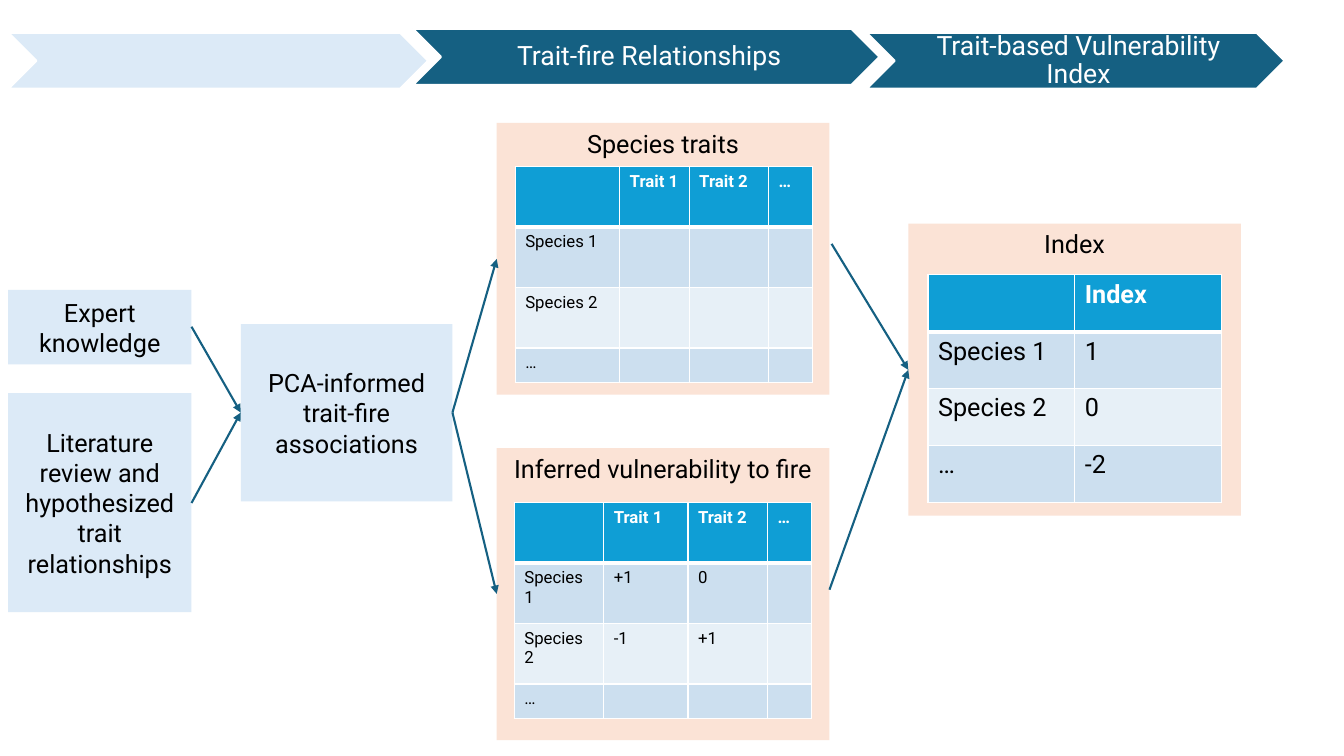
from lxml import etree
from pptx import Presentation
from pptx import util as u
from pptx.dml.color import RGBColor
from pptx.enum import shapes, text
from pptx.oxml import ns

Pt = u.Pt

COLORS = {
    "white": "FFFFFF", "black": "000000", "teal": "156082", "pale": "DCEAF7",
    "peach": "FBE3D6", "header": "0F9ED5", "odd": "CCDFEF", "even": "E7F0F7",
}


def rgb(name):
    """Return the colour with the given name."""
    return RGBColor.from_string(COLORS[name])


def set_format(target, formats):
    """Set each attribute of target from a dict of values."""
    for attribute, value in formats.items():
        setattr(target, attribute, value)


def write(frame, wording, size, color="black", bold=False, align="CENTER", anchor="MIDDLE"):
    """Write one formatted paragraph into a text frame and return it."""
    set_format(frame, {"word_wrap": True, "vertical_anchor": getattr(text.MSO_ANCHOR, anchor)})
    paragraph = frame.paragraphs[0]
    paragraph.alignment = getattr(text.PP_ALIGN, align)
    run = paragraph.add_run()
    run.text = wording
    set_format(run.font, {"size": Pt(size), "name": "Roboto", "bold": bold})
    run.font.color.rgb = rgb(color)
    return paragraph


def add_filled(slide, preset, place, fill):
    """Add a flat preset shape without outline."""
    outline = slide.shapes.add_shape(preset, *map(Pt, place))
    outline.shadow.inherit = False
    outline.fill.solid()
    outline.fill.fore_color.rgb = rgb(fill)
    outline.line.fill.background()
    return outline


def add_stage(slide, wording, left, top, width, fill):
    """Add a chevron, with any heading inset between the points."""
    height, inset = 40, 20
    chevron = add_filled(slide, shapes.MSO_SHAPE.CHEVRON, (left, top, width, height), fill)
    chevron.line.color.rgb = rgb("white")
    chevron.line.width = Pt(1.5)
    if not wording:
        return
    heading = slide.shapes.add_textbox(
        Pt(left + inset), Pt(top), Pt(width - 2 * inset), Pt(height)).text_frame
    set_format(heading, {"margin_left": Pt(6), "margin_right": Pt(2),
                         "margin_top": Pt(2), "margin_bottom": Pt(2)})
    write(heading, wording, 19, "white").line_spacing = 0.9


def add_box(slide, wording, place, fill="pale", anchor="MIDDLE"):
    """Add a labelled rectangle."""
    box = add_filled(slide, shapes.MSO_SHAPE.RECTANGLE, place, fill)
    write(box.text_frame, wording, 18, anchor=anchor)


def add_arrow(slide, start, end):
    """Add a straight arrow between two points."""
    arrow = slide.shapes.add_connector(
        shapes.MSO_CONNECTOR.STRAIGHT, *map(Pt, start + end))
    arrow.line.color.rgb = rgb("teal")
    arrow.line.width = Pt(1.5)
    properties = arrow._element.spPr
    etree.SubElement(properties.find(ns.qn("a:ln")), ns.qn("a:tailEnd"), type="triangle")
    etree.SubElement(properties, ns.qn("a:effectLst"))


def add_borders(cell, row):
    """Give a cell white borders, thicker below the header row."""
    widths = {"L": 1, "R": 1, "T": 3 if row == 1 else 1, "B": 3 if row == 0 else 1}
    properties = cell._tc.get_or_add_tcPr()
    for side, width in widths.items():
        border = etree.SubElement(properties, ns.qn("a:ln" + side), w=str(Pt(width)))
        fill = etree.SubElement(border, ns.qn("a:solidFill"))
        etree.SubElement(fill, ns.qn("a:srgbClr"), val=COLORS["white"])


def add_grid(slide, left, top, columns, heights, rows, size):
    """Add a banded table with a header row."""
    grid = slide.shapes.add_table(
        len(rows), len(columns), Pt(left), Pt(top), Pt(sum(columns)), Pt(sum(heights))).table
    for column, width in zip(grid.columns, columns):
        column.width = Pt(width)
    for r, (entries, height) in enumerate(zip(rows, heights)):
        grid.rows[r].height = Pt(height)
        band = "header" if r == 0 else "odd" if r % 2 else "even"
        for c, entry in enumerate(entries):
            cell = grid.cell(r, c)
            add_borders(cell, r)
            cell.fill.solid()
            cell.fill.fore_color.rgb = rgb(band)
            if entry:
                write(cell.text_frame, entry, size, "black" if r else "white", r == 0, "LEFT", "TOP")
            else:
                ending = cell.text_frame.paragraphs[0]._p.get_or_add_endParaRPr()
                ending.set("sz", str(size * 100))


def main():
    """Build the slide and save it."""
    deck = Presentation()
    set_format(deck, {"slide_width": Pt(960), "slide_height": Pt(540)})
    slide = deck.slides.add_slide(deck.slide_layouts[6])

    add_stage(slide, "", 6, 23.4, 299.8, "pale")
    add_stage(slide, "Trait-fire Relationships", 295, 20.6, 333.2, "teal")
    add_stage(slide, "Trait-based Vulnerability Index", 619, 23.4, 298.6, "teal")

    add_box(slide, "Expert knowledge", (5.8, 207.1, 131, 53.3))
    add_box(slide, "PCA-informed trait-fire associations", (172, 231.6, 151.2, 126.5))
    add_box(slide, "Literature review and hypothesized trait relationships",
            (5.8, 280.8, 131, 156.4))
    for title, left, top, height in (
            ("Species traits", 354.8, 87.8, 194.2),
            ("Inferred vulnerability to fire", 354.8, 320, 208.6),
            ("Index", 648.8, 159.8, 208.6)):
        add_box(slide, title, (left, top, 237.6, height), "peach", "TOP")

    header = ["", "Trait 1", "Trait 2", "…"]
    trait_heights = [43.2, 43.2, 43.2, 24.5]
    add_grid(slide, 662.9, 196.2, [104.8] * 2, [40.7] * 4,
             [["", "Index"], ["Species 1", "1"], ["Species 2", "0"], ["…", "-2"]], 18)
    add_grid(slide, 368, 119, [74.6, 49.7, 56.7, 31.5], trait_heights,
             [header, ["Species 1", "", "", ""], ["Species 2", "", "", ""], ["…", "", "", ""]], 12)
    add_grid(slide, 367.3, 359, [63.9, 60.2, 56.9, 31.5], trait_heights,
             [header, ["Species 1", "+1", "0", ""], ["Species 2", "-1", "+1", ""],
              ["…", "", "", ""]], 12)

    associations_in, associations_out, index_in = (172, 294.7), (323.2, 294.7), (648.8, 264.2)
    for start, end in (
            ((136.8, 233.4), associations_in), ((136.8, 359.3), associations_in),
            (associations_out, (354.8, 185)), (associations_out, (354.8, 424.2)),
            ((594, 174.2), index_in), ((592.5, 421.2), index_in)):
        add_arrow(slide, start, end)

    deck.save("out.pptx")


if __name__ == "__main__":
    main()
